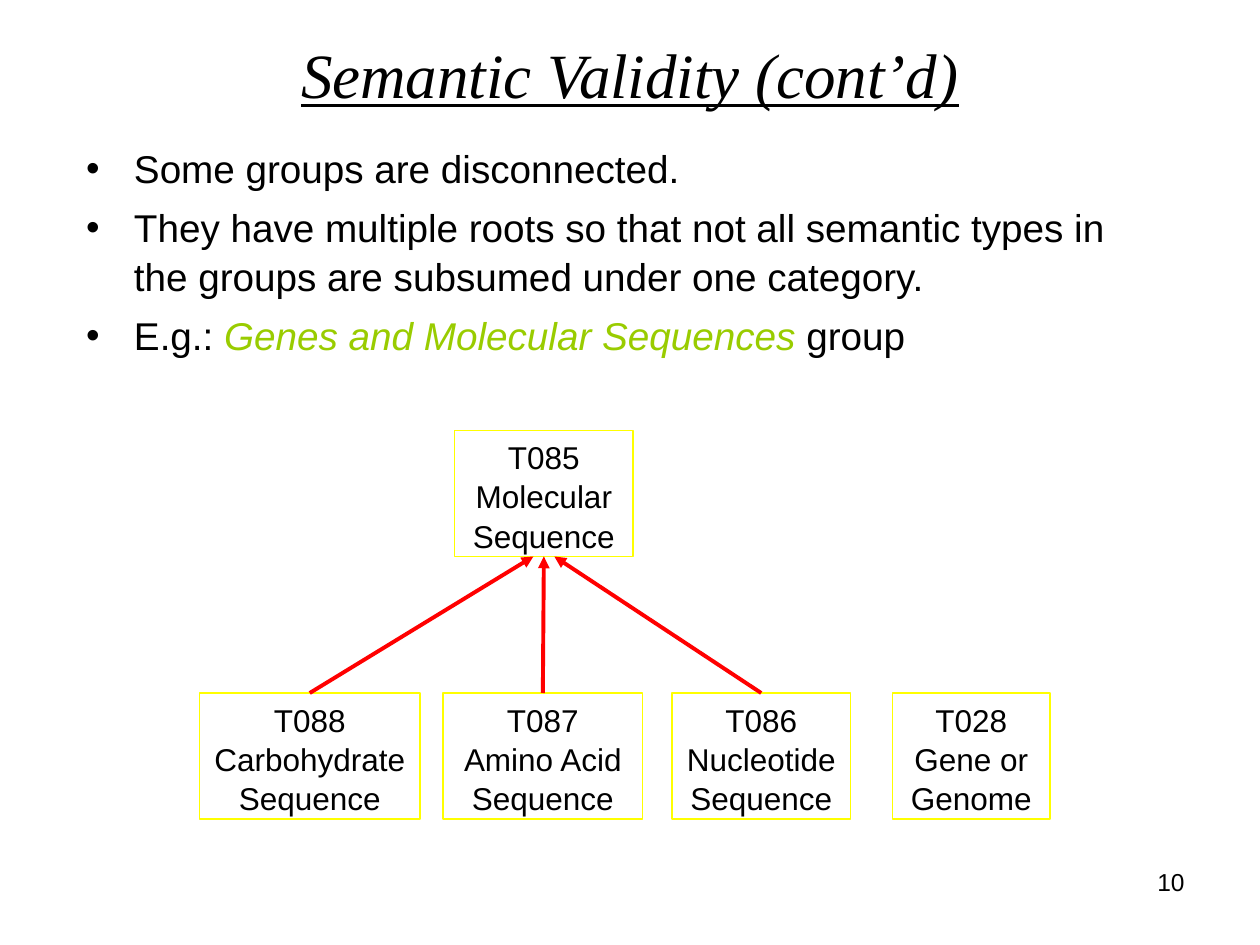
from lxml import etree
from pptx import Presentation
from pptx import util as u
from pptx.dml.color import RGBColor
from pptx.enum import shapes, text
from pptx.oxml.ns import qn

BLACK = RGBColor(0, 0, 0)
GREEN = RGBColor(0x99, 0xCC, 0x00)
YELLOW = RGBColor(0xFF, 0xFF, 0x00)
RED = RGBColor(0xFF, 0, 0)
LINE_SPACING = 1.04


def grid(count):
    return u.Inches(count / 12)


def place(box, left, top, width, height):
    box.left, box.top = grid(left), grid(top)
    box.width, box.height = grid(width), grid(height)


def set_font(font, size, name="Arial", color=BLACK):
    font.size, font.name = u.Pt(size), name
    font.color.rgb = color


def add_bullet(para):
    properties = para._p.get_or_add_pPr()
    properties.set("marL", str(u.Inches(0.38)))
    properties.set("indent", str(-u.Inches(0.38)))
    etree.SubElement(properties, qn("a:buFont")).set("typeface", "Arial")
    etree.SubElement(properties, qn("a:buChar")).set("char", "•")


def fill_title(box):
    place(box, 9, 2, 102, 10)
    box.text_frame.auto_size = text.MSO_AUTO_SIZE.NONE
    box.text_frame.vertical_anchor = text.MSO_ANCHOR.MIDDLE
    box.text_frame.text = "Semantic Validity (cont’d)"
    para = box.text_frame.paragraphs[0]
    para.alignment = text.PP_ALIGN.CENTER
    set_font(para.font, 36, "Times New Roman")
    para.font.italic = para.font.underline = True


def fill_body(box):
    place(box, 7, 13, 103, 26)
    frame = box.text_frame
    frame.auto_size = text.MSO_AUTO_SIZE.NONE
    items = [
        ["Some groups are disconnected."],
        ["They have multiple roots so that not all semantic types in "
         "the groups are subsumed under one category."],
        ["E.g.:", " Genes and Molecular Sequences ", "group"],
    ]
    for index, pieces in enumerate(items):
        para = frame.add_paragraph() if index else frame.paragraphs[0]
        add_bullet(para)
        para.line_spacing = LINE_SPACING
        para.space_before = u.Pt(6.5 if index else 0)
        set_font(para.font, 22.1)
        for piece in pieces:
            para.add_run().text = piece
    group_name = frame.paragraphs[-1].runs[1]
    group_name.font.italic = True
    group_name.font.color.rgb = GREEN


def add_node(group, label, left, top, width):
    box = group.shapes.add_shape(
        shapes.MSO_SHAPE.RECTANGLE, grid(left), grid(top), grid(width), grid(12))
    box.shadow.inherit = False
    box.fill.background()
    box.line.color.rgb = YELLOW
    box.line.width = u.Pt(0.75)
    frame = box.text_frame
    frame.word_wrap = True
    frame.vertical_anchor = text.MSO_ANCHOR.TOP
    frame.text = label
    for para in frame.paragraphs:
        para.alignment = text.PP_ALIGN.CENTER
        para.line_spacing = LINE_SPACING
        set_font(para.font, 18)
    return box


def add_arrow(group, child, parent, offset):
    middle = parent.left + parent.width // 2
    arrow = group.shapes.add_connector(
        shapes.MSO_CONNECTOR.STRAIGHT, child.left, child.top,
        middle + grid(offset), parent.top + parent.height)
    arrow.begin_connect(child, 0)
    if offset == 0:
        arrow.end_connect(parent, 2)
    arrow.line.color.rgb = RED
    arrow.line.width = u.Pt(2.25)
    etree.SubElement(arrow.line._get_or_add_ln(), qn("a:tailEnd")).set("type", "triangle")
    etree.SubElement(arrow._element.spPr, qn("a:effectLst"))


def add_tree(page, left, top):
    group = page.shapes.add_group_shape()
    parent = add_node(group, "T085\vMolecular Sequence", left + 24.3, top, 17)
    leaves = [
        ("T088\nCarbohydrate Sequence", 0, 21),
        ("T087\nAmino Acid Sequence", 23.2, 19),
        ("T086\nNucleotide Sequence", 45, 17),
        ("T028\nGene or Genome", 66, 15),
    ]
    children = [add_node(group, label, left + shift, top + 25, width)
                for label, shift, width in leaves]
    for child, offset in zip(children, (-1, 0, 1)):
        add_arrow(group, child, parent, offset)


def add_page_number(page):
    box = page.shapes.add_textbox(grid(86), grid(82), grid(28), grid(6.2))
    box.text_frame.word_wrap = True
    box.text_frame.text = "10"
    para = box.text_frame.paragraphs[0]
    para.alignment = text.PP_ALIGN.RIGHT
    set_font(para.font, 14)


def main():
    deck = Presentation()
    deck.slide_width, deck.slide_height = grid(120), grid(90)
    page = deck.slides.add_slide(deck.slide_layouts[1])
    fill_title(page.shapes.title)
    fill_body(page.placeholders[1])
    add_tree(page, 19, 41)
    add_page_number(page)
    deck.save("out.pptx")


if __name__ == "__main__":
    main()
